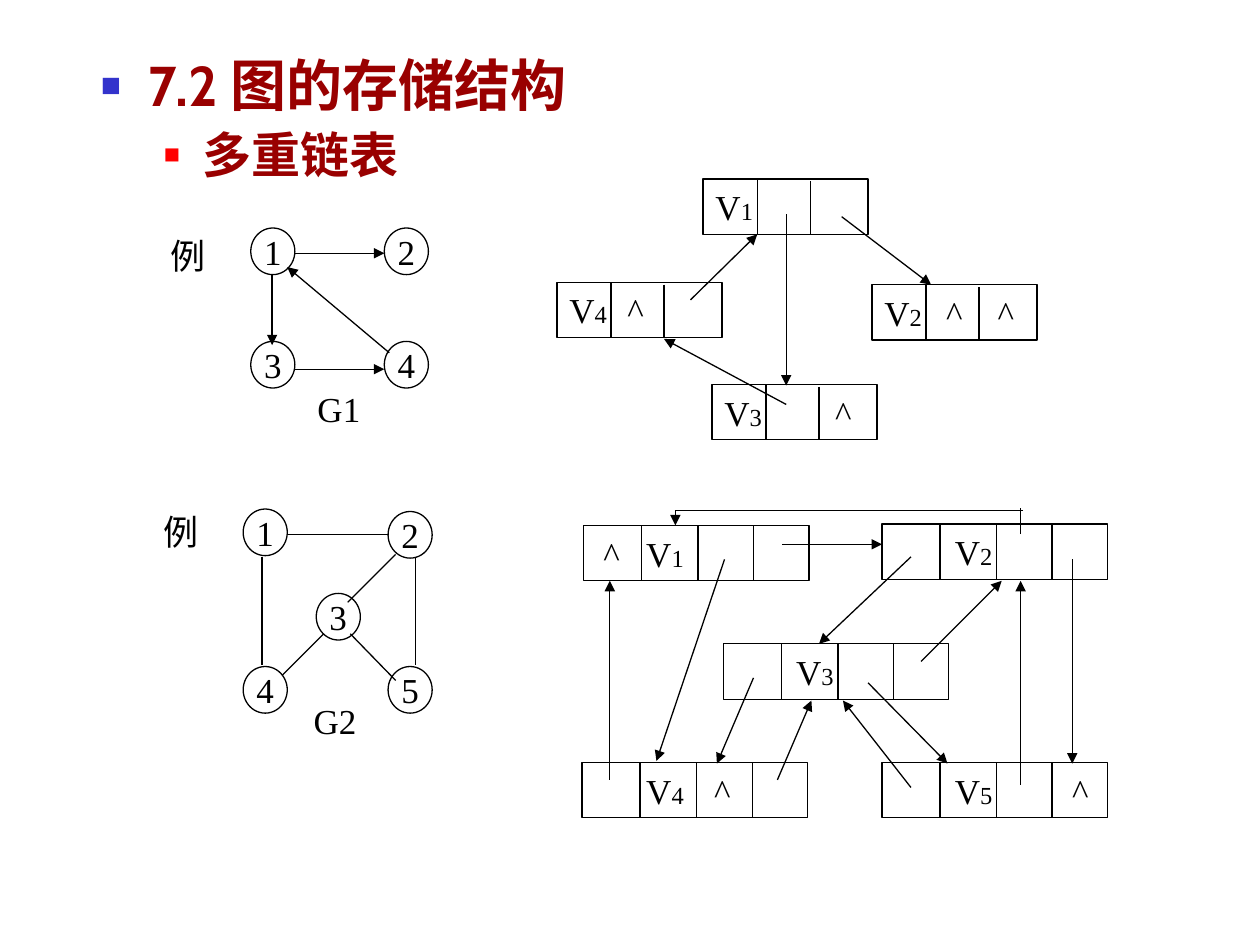
from dataclasses import dataclass

from lxml.etree import SubElement
from pptx import Presentation
from pptx.dml.color import RGBColor
from pptx.enum.shapes import MSO_CONNECTOR, MSO_SHAPE
from pptx.enum.text import MSO_ANCHOR, MSO_AUTO_SIZE, PP_ALIGN
from pptx.oxml.ns import qn
from pptx.util import Inches, Pt


@dataclass(frozen=True)
class Theme:
    ink: str = "000000"
    head: str = "990000"
    marks: tuple = ("3333CC", "FF0000")
    serif: str = "Times New Roman"
    sans: str = "Cabin"
    large: int = 32
    medium: int = 28
    text: int = 20
    sub: int = 14
    rule: float = 0.75


def assign(target, values):
    for name, value in values.items():
        setattr(target, name, value)


class Board:
    """Holds the theme and the slide being drawn."""

    def __init__(self, slide, theme):
        self.slide, self.theme = slide, theme
        self.shapes = slide.shapes

    def run(self, para, text, size, font=None, color=None, bold=False):
        run = para.add_run()
        run.text = text
        assign(run.font, {"name": font or self.theme.serif,
                          "size": Pt(size), "bold": bold})
        run.font.color.rgb = RGBColor.from_string(color or self.theme.ink)

    def ink(self, line):
        line.color.rgb = RGBColor.from_string(self.theme.ink)
        line.width = Pt(self.theme.rule)

    def title(self, box, lines):
        """Fill the title with (text, size, indent, hang, mark size) lines."""
        shape = self.shapes.title
        assign(shape, dict(zip(("left", "top", "width", "height"),
                               map(Inches, box))))
        frame = shape.text_frame
        assign(frame, {"vertical_anchor": MSO_ANCHOR.TOP, "word_wrap": True,
                       "auto_size": MSO_AUTO_SIZE.NONE})
        for n, (text, size, indent, hang, scale) in enumerate(lines):
            para = frame.add_paragraph() if n else frame.paragraphs[0]
            props = para._p.get_or_add_pPr()
            props.set("marL", str(Inches(indent)))
            props.set("indent", str(-Inches(hang)))
            color = SubElement(props, qn("a:buClr"))
            SubElement(color, qn("a:srgbClr"), val=self.theme.marks[n])
            SubElement(props, qn("a:buSzPct"), val=str(scale * 1000))
            SubElement(props, qn("a:buFont"), typeface=self.theme.serif)
            SubElement(props, qn("a:buChar"), char="■")
            assign(para, {"alignment": PP_ALIGN.LEFT, "line_spacing": 0.9,
                          "space_before": Pt(7 if n else 0)})
            self.run(para, text, size, self.theme.sans, self.theme.head, True)

    def label(self, text, x, y, width):
        box = self.shapes.add_textbox(*map(Inches, (x, y, width, 0.44)))
        self.center(box, text)

    def center(self, shape, text):
        frame = shape.text_frame
        assign(frame, {"vertical_anchor": MSO_ANCHOR.MIDDLE,
                       "word_wrap": False})
        para = frame.paragraphs[0]
        para.alignment = PP_ALIGN.CENTER
        self.run(para, text, self.theme.text)

    def outline(self, kind, x, y, width, height):
        shape = self.shapes.add_shape(kind, *map(Inches, (x, y, width, height)))
        shape.shadow.inherit = False
        shape.fill.background()
        self.ink(shape.line)
        return shape

    def vertex(self, text, x, y):
        self.center(self.outline(MSO_SHAPE.OVAL, x, y, 0.35, 0.37), text)

    def edge(self, x1, y1, x2, y2, arrow=False):
        line = self.shapes.add_connector(
            MSO_CONNECTOR.STRAIGHT, *map(Inches, (x1, y1, x2, y2)))
        self.ink(line.line)
        props = line._element.spPr
        if arrow:
            SubElement(props.find(qn("a:ln")), qn("a:tailEnd"), type="triangle")
        SubElement(props, qn("a:effectLst"))

    def record(self, x, y, width, splits, parts):
        """Draw a divided box; parts are (tab position, text, subscript)."""
        high = 0.44
        frame = self.outline(MSO_SHAPE.RECTANGLE, x, y, width, high).text_frame
        assign(frame, {"vertical_anchor": MSO_ANCHOR.MIDDLE, "word_wrap": True})
        para = frame.paragraphs[0]
        para.alignment = PP_ALIGN.LEFT
        tabs = SubElement(para._p.get_or_add_pPr(), qn("a:tabLst"))
        for stop, text, sub in parts:
            if stop:
                SubElement(tabs, qn("a:tab"), pos=str(Inches(stop)), algn="l")
            self.run(para, "\t" + text if stop else text, self.theme.text)
            if sub:
                self.run(para, sub, self.theme.sub)
        for dx, dy in splits:
            self.edge(x + dx, y + dy, x + dx, y + high)


TRIPLE = (1.31, [(0.43, 0), (0.85, 0.02)])
QUAD = (1.79, [(0.46, 0), (0.91, 0), (1.35, 0)])

LABELS = [("例", 1.25, 1.81, 0.48), ("G1", 2.42, 3.02, 0.54),
          ("例", 1.2, 4, 0.48), ("G2", 2.39, 5.5, 0.54)]
VERTICES = [
    ("1", 1.99, 1.81), ("2", 3.05, 1.81), ("3", 1.99, 2.71), ("4", 3.05, 2.71),
    ("1", 1.93, 4.04), ("2", 3.08, 4.06), ("3", 2.51, 4.71),
    ("4", 1.93, 5.29), ("5", 3.08, 5.29),
]
RECORDS = [
    (5.58, 1.42, *TRIPLE, [(0, "V", "1")]),
    (6.92, 2.26, *TRIPLE, [(0, "V", "2"), (0.49, "^", ""), (0.9, "^", "")]),
    (4.42, 2.24, *TRIPLE, [(0, "V", "4"), (0.46, "^", "")]),
    (5.65, 3.05, *TRIPLE, [(0, "V", "3"), (0.88, "^", "")]),
    (4.63, 4.17, *QUAD, [(0.06, "^", ""), (0.4, "V", "1")]),
    (7, 4.16, *QUAD, [(0.48, "V", "2")]),
    (4.62, 6.05, *QUAD, [(0.41, "V", "4"), (0.95, "^", "")]),
    (7, 6.05, *QUAD, [(0.48, "V", "5"), (1.41, "^", "")]),
    (5.74, 5.11, *QUAD, [(0.48, "V", "3")]),
]
PLAIN = [
    (2.28, 4.24, 3.09, 4.24), (2.08, 4.42, 2.08, 5.28),
    (3.3, 4.42, 3.3, 5.28), (2.78, 5.03, 3.14, 5.4),
    (3.14, 4.4, 2.76, 4.78), (2.57, 5.03, 2.24, 5.36),
    (8.1, 4.24, 8.1, 4.03), (8.12, 4.05, 5.36, 4.05),
]
ARROWS = [
    (2.34, 2.01, 3.05, 2.01), (2.34, 2.93, 3.05, 2.93),
    (2.16, 2.18, 2.16, 2.74), (3.09, 2.8, 2.28, 2.12),
    (6.68, 1.72, 7.39, 2.26), (5.48, 2.38, 6.01, 1.86),
    (6.24, 1.7, 6.24, 3.06), (6.24, 3.21, 5.27, 2.69),
    (5.75, 4.44, 5.21, 6.04), (6.21, 4.32, 7, 4.32),
    (5.36, 4.05, 5.36, 4.17), (7.23, 4.42, 6.5, 5.11),
    (8.51, 4.44, 8.51, 6.06), (7.31, 5.25, 7.95, 4.61),
    (6.89, 5.42, 7.52, 6.06), (5.98, 5.38, 5.69, 6.06),
    (4.84, 6.19, 4.84, 4.61), (6.17, 6.19, 6.44, 5.56),
    (8.1, 6.23, 8.1, 4.61), (7.23, 6.25, 6.69, 5.56),
]


def main():
    deck = Presentation()
    assign(deck, {"slide_width": Inches(10), "slide_height": Inches(7.5)})
    theme = Theme()
    board = Board(deck.slides.add_slide(deck.slide_layouts[5]), theme)
    board.title((0.7, 0.41, 9.3, 1.11), [
        ("7.2 图的存储结构", theme.large, 0.38, 0.38, 60),
        ("多重链表", theme.medium, 0.81, 0.31, 55),
    ])
    for draw, items in ((board.label, LABELS), (board.vertex, VERTICES),
                        (board.record, RECORDS), (board.edge, PLAIN)):
        for item in items:
            draw(*item)
    for ends in ARROWS:
        board.edge(*ends, arrow=True)
    deck.save("out.pptx")


if __name__ == "__main__":
    main()
